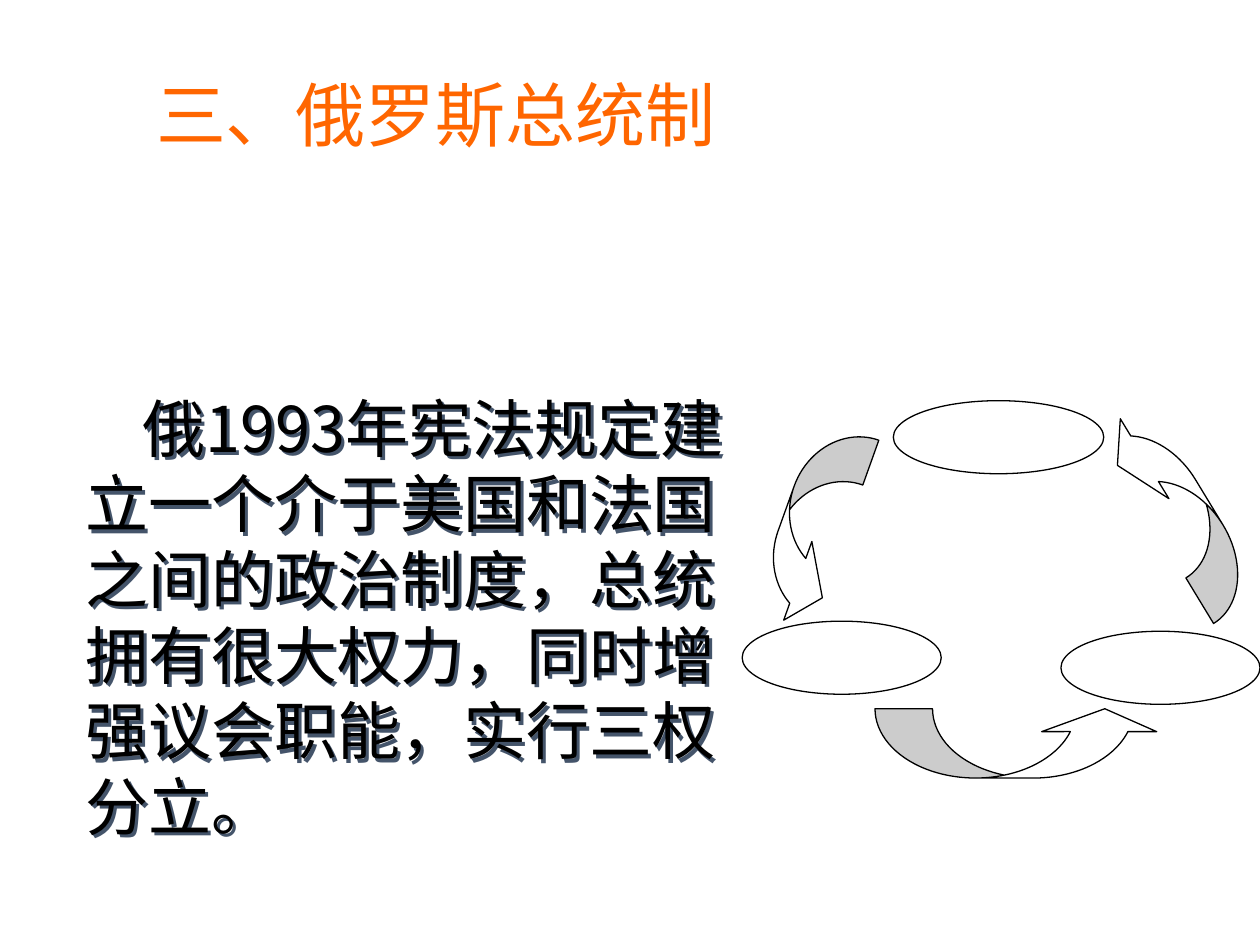
from lxml import etree
from pptx import Presentation
from pptx import util as u
from pptx.dml.color import RGBColor
from pptx.enum import shapes
from pptx.oxml import ns

COLORS = {"ink": "000000", "paper": "FFFFFF", "title": "FF6600", "shade": "44546A"}
CJK = "Noto Sans CJK SC"
BODY = ("俄1993年宪法规定建立一个介于美国和法国之间的政治制度，"
        "总统拥有很大权力，同时增强议会职能，实行三权分立。")
OVALS = [
    (7.09, 3.18, 1.67, 0.58),
    (5.89, 4.93, 1.58, 0.58),
    (8.42, 5.01, 1.58, 0.58),
]
ARROWS = [
    ((6.2, 3.36, 0.51, 1.66), 19.7, (0.74, 1.3, 0.45), False),
    ((7.81, 4.76, 0.55, 2.28), 270, (0.83, 1.66, 0.33), False),
    ((9.12, 3.12, 0.47, 1.84), 328.7, (0.9, 1.58, 0.45), True),
]


def color(name):
    return RGBColor.from_string(COLORS[name])


def add_text(slide, words, box, size, font=CJK, hue="ink", indent=0, lead=1.2):
    shape = slide.shapes.add_textbox(*map(u.Inches, box))
    frame = shape.text_frame
    frame.word_wrap = True
    para = frame.paragraphs[0]
    para.line_spacing = u.Pt(size * lead)
    if indent:
        para._p.get_or_add_pPr().set("indent", str(u.Inches(indent)))
    run = para.add_run()
    run.text = words
    run.font.size = u.Pt(size)
    run.font.name = font
    run.font.color.rgb = color(hue)
    east = etree.SubElement(run._r.get_or_add_rPr(), ns.qn("a:ea"))
    east.set("typeface", CJK)
    return shape


def add_shade(shape):
    effects = etree.SubElement(shape._element.spPr, ns.qn("a:effectLst"))
    shade = etree.SubElement(effects, ns.qn("a:outerShdw"),
                             dist="35921", dir="2700000", algn="ctr", rotWithShape="0")
    etree.SubElement(shade, ns.qn("a:srgbClr"), val=COLORS["shade"])


def add_outline(slide, kind, box, fill=None):
    shape = slide.shapes.add_shape(kind, *map(u.Inches, box))
    shape.shadow.inherit = False
    if fill:
        shape.fill.solid()
        shape.fill.fore_color.rgb = color(fill)
    else:
        shape.fill.background()
    shape.line.color.rgb = color("ink")
    shape.line.width = u.Pt(0.75)
    return shape


def add_arrow(slide, box, angle, bends, flip):
    arrow = add_outline(slide, shapes.MSO_SHAPE.CURVED_RIGHT_ARROW, box, "paper")
    arrow.rotation = angle
    for i, bend in enumerate(bends):
        arrow.adjustments[i] = bend
    if flip:
        frame = arrow._element.spPr.xfrm
        frame.set("flipH", "1")
        frame.set("flipV", "1")


def main():
    deck = Presentation()
    deck.slide_width, deck.slide_height = u.Inches(10), u.Inches(7.5)
    slide = deck.slides.add_slide(deck.slide_layouts[6])
    for arrow in ARROWS:
        add_arrow(slide, *arrow)
    for oval in OVALS:
        add_outline(slide, shapes.MSO_SHAPE.OVAL, oval)
    body = add_text(slide, BODY, (0.58, 3.04, 5.42, 3.7), 36, indent=0.45)
    add_shade(body)
    add_text(slide, "三、俄罗斯总统制", (1.14, 0.52, 6.07, 0.77), 40,
             font="Arial", hue="title")
    deck.save("out.pptx")


if __name__ == "__main__":
    main()
